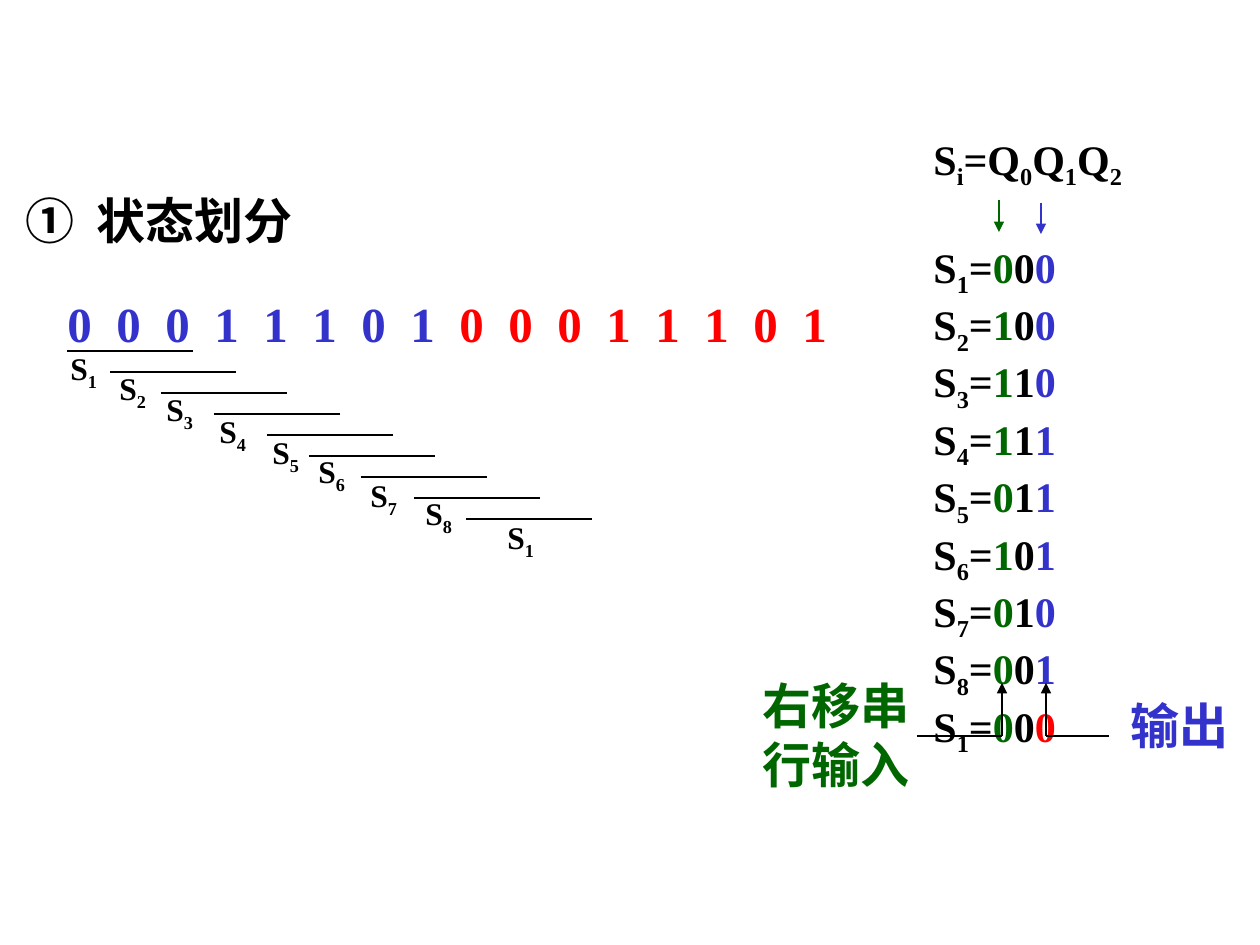
"""Build the slide on dividing a bit sequence into shift-register states."""
from lxml.etree import SubElement
from pptx import Presentation
from pptx.dml.color import RGBColor as Rgb
from pptx.enum.shapes import MSO_CONNECTOR as Conn
from pptx.enum.text import MSO_AUTO_SIZE as Fit
from pptx.oxml.ns import qn
from pptx.util import Pt

COLORS = {"ink": "000000", "blue": "3333CC", "red": "FF0000", "green": "006600"}
SCALE = 914400 / 126
PAGE = (1260, 945)
BITS = "00011101"
COUNT = len(BITS)
NAMES = [str(i % COUNT + 1) for i in range(COUNT + 1)]

BARS = [67, 110, 161, 214, 267, 309, 361, 414, 466]
BAR_TOP, BAR_STEP, BAR_WIDE = 351, 21, 126
TAGS = [(58, 343), (107, 363), (154, 384), (207, 406), (260, 427),
        (306, 446), (358, 470), (413, 488), (495, 512)]
HEAD = [("S", "ink"), ("i", "ink", 1), ("=Q", "ink"), ("0", "ink", 1),
        ("Q", "ink"), ("1", "ink", 1), ("Q", "ink"), ("2", "ink", 1)]
NOTES = [
    ((13, 184, 316, 72), [[("①\t状态划分", "ink")]], [71]),
    ((55, 287, 800, 72), [[("\t".join(BITS) + "\t", "blue"), ("\t".join(BITS), "red")]],
     [49 * i for i in range(1, 2 * COUNT)]),
    ((750, 669, 180, 131), [[("右移串", "green")], [("行输入", "green")]], []),
    ((1118, 689, 132, 72), [[("输出", "blue")]], []),
]
LINES = [
    (999, 200, 999, 232, "green", True),
    (1041, 203, 1041, 234, "blue", True),
    (917, 736, 1002, 736, "ink", False),
    (1002, 736, 1002, 683, "ink", True),
    (1046, 736, 1046, 683, "ink", True),
    (1046, 736, 1109, 736, "ink", False),
]


def px(num):
    return round(num * SCALE)


def hue(name):
    return Rgb.from_string(COLORS[name])


def add_text(slide, box, rows, size, stops=()):
    frame = slide.shapes.add_textbox(*map(px, box)).text_frame
    form = {"word_wrap": True, "auto_size": Fit.NONE}
    for key, val in form.items():
        setattr(frame, key, val)
    for i, row in enumerate(rows):
        para = frame.add_paragraph() if i else frame.paragraphs[0]
        if stops:
            tabs = SubElement(para._p.get_or_add_pPr(), qn("a:tabLst"))
            for stop in stops:
                SubElement(tabs, qn("a:tab"), pos=str(px(stop)), algn="l")
        for text, color, *sub in row:
            run = para.add_run()
            run.text = text
            face = {"name": "Times New Roman", "size": Pt(size), "bold": True}
            for key, val in face.items():
                setattr(run.font, key, val)
            run.font.color.rgb = hue(color)
            if sub:
                run._r.get_or_add_rPr().set("baseline", "-25000")
    return frame


def add_line(slide, x1, y1, x2, y2, color="ink", arrow=False):
    line = slide.shapes.add_connector(Conn.STRAIGHT, *map(px, (x1, y1, x2, y2)))
    line.line.width = Pt(1.5)
    line.line.color.rgb = hue(color)
    if arrow:
        SubElement(line.line._get_or_add_ln(), qn("a:tailEnd"), type="triangle")
    SubElement(line._element.spPr, qn("a:effectLst"))


def state(num):
    return [("S", "ink"), (num, "ink", 1)]


def main():
    deck = Presentation()
    deck.slide_width, deck.slide_height = map(px, PAGE)
    slide = deck.slides.add_slide(deck.slide_layouts[6])

    for box, rows, stops in NOTES:
        add_text(slide, box, rows, 28, stops)
    for i, (left, tag, num) in enumerate(zip(BARS, TAGS, NAMES)):
        top = BAR_TOP + BAR_STEP * i
        add_line(slide, left, top, left + BAR_WIDE, top)
        add_text(slide, (*tag, 56, 55), [state(num)], 18)

    rows = [HEAD]
    for i, num in enumerate(NAMES):
        bits = (BITS * 2)[i:i + 3][::-1]
        tones = ("green", "ink", "blue" if i < COUNT else "red")
        rows.append(state(num) + [("=", "ink"), *zip(bits, tones)])
    table = add_text(slide, (921, 127, 220, 636), rows, 24)
    table.paragraphs[1].space_before = Pt(29)

    for line in LINES:
        add_line(slide, *line)
    deck.save("out.pptx")


if __name__ == "__main__":
    main()
